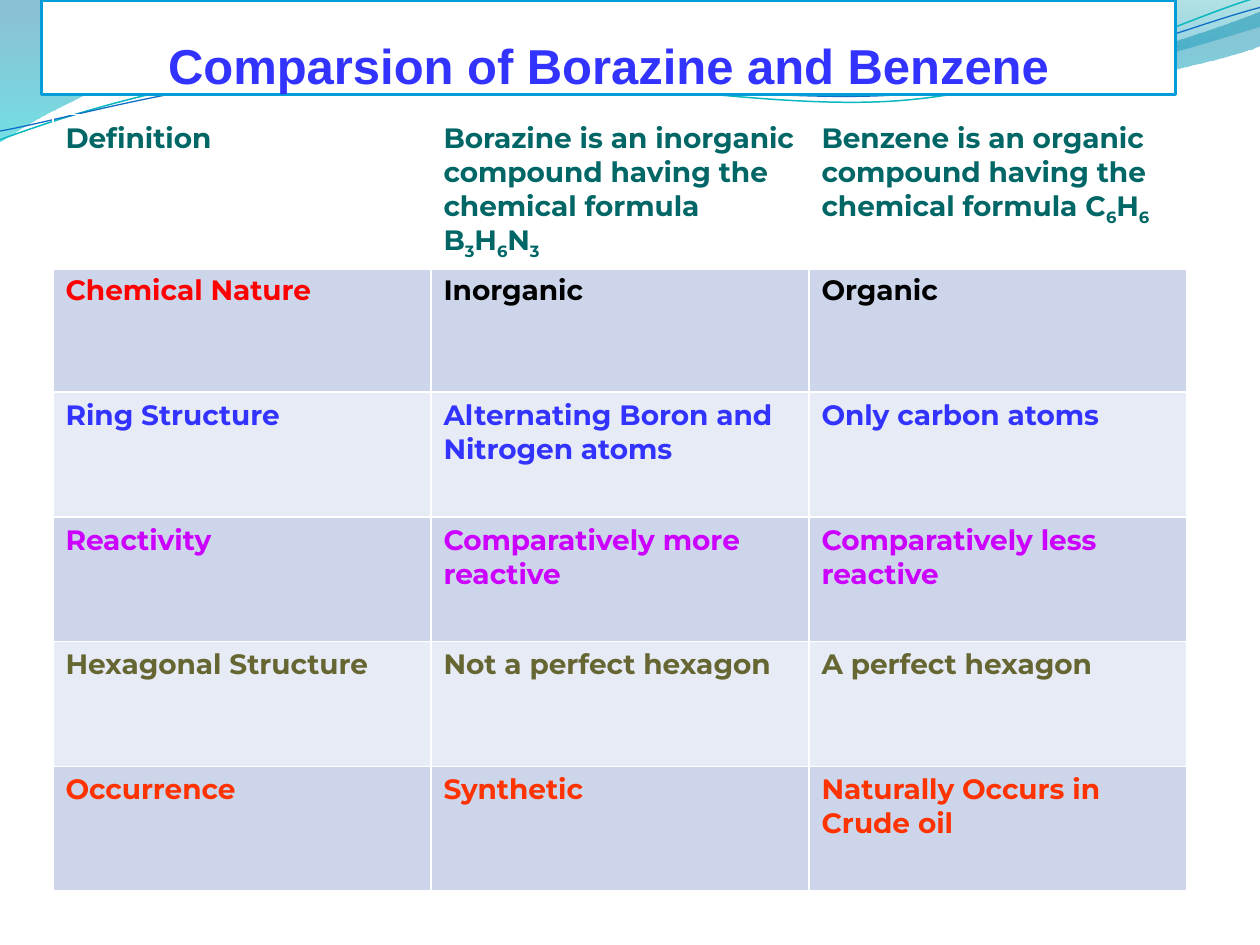
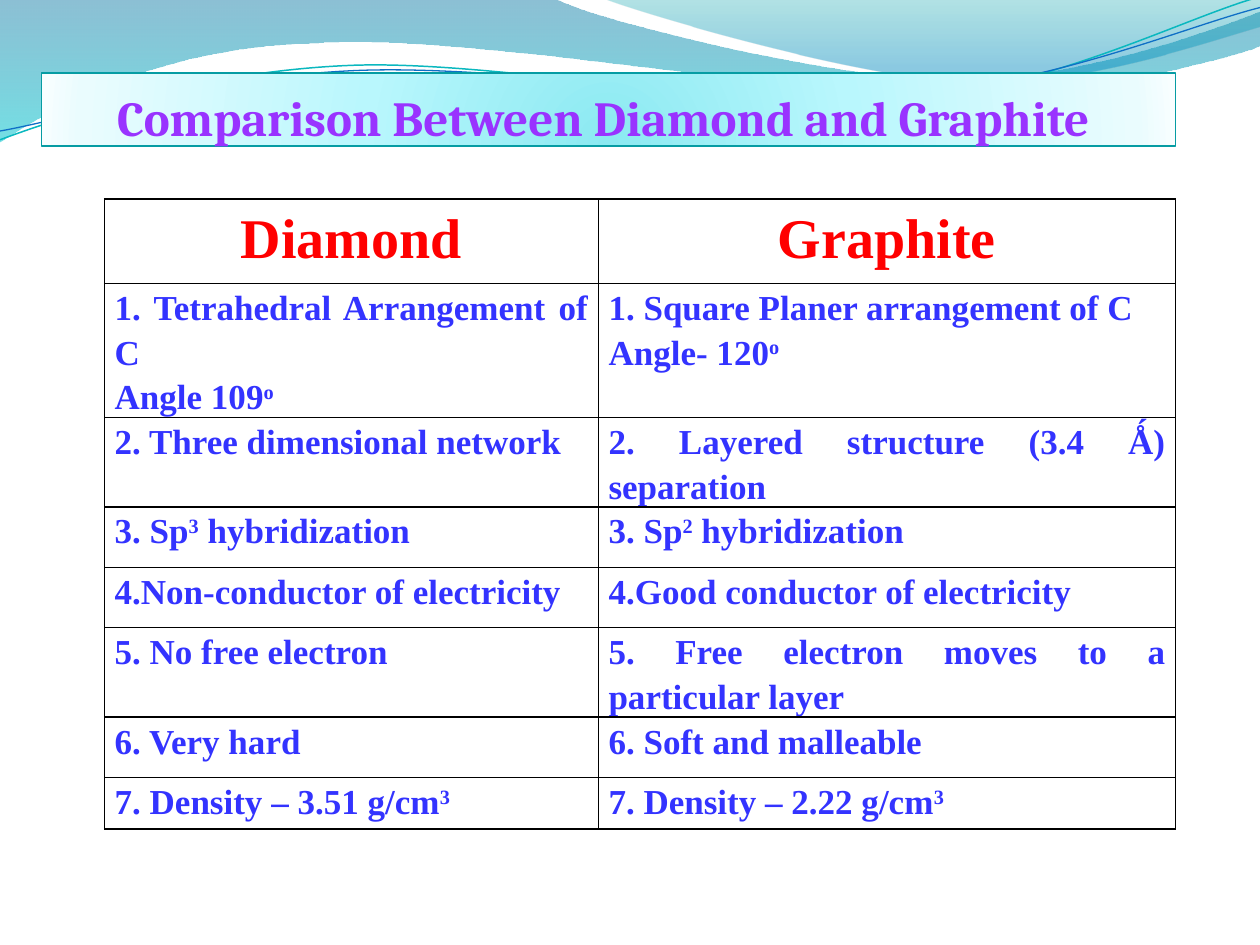
from dataclasses import dataclass
from lxml.etree import SubElement as Sub
from pptx import Presentation
from pptx.dml.color import RGBColor as RGB
from pptx.enum.shapes import MSO_SHAPE as SHAPE
from pptx.enum.text import MSO_ANCHOR as ANCHOR, PP_ALIGN as ALIGN
from pptx.oxml import parse_xml
from pptx.oxml.ns import nsdecls, qn
from pptx.util import Inches, Pt


@dataclass(frozen=True)
class Theme:
    white: str = "FFFFFF"
    black: str = "000000"
    blue: str = "3333FF"
    red: str = "FF0000"
    violet: str = "9933FF"
    frame: str = "009DD9"
    teal: str = "069CA3"
    bands: tuple = ("E7EBF5", "CCD5EA")
    title: int = 28
    head: int = 32
    body: int = 20
    small: int = 16
    sans: str = "Montserrat"
    serif: str = "Times New Roman"


T = Theme()

# Content: label colour, text colour, texts; bars enclose lowered or raised text
RINGS = [
    ("006666", "006666", "Definition",
     "Borazine is an inorganic compound having the chemical formula B|3|H|6|N|3|",
     "Benzene is an organic compound having the chemical formula C|6|H|6|"),
    (T.red, T.black, "Chemical Nature", "Inorganic", "Organic"),
    (T.blue, T.blue, "Ring Structure", "Alternating Boron and Nitrogen atoms",
     "Only carbon atoms"),
    ("CC00FF", "CC00FF", "Reactivity", "Comparatively more reactive",
     "Comparatively less reactive"),
    ("666633", "666633", "Hexagonal Structure", "Not a perfect hexagon",
     "A perfect hexagon"),
    ("FF3300", "FF3300", "Occurrence", "Synthetic",
     "Naturally Occurs in Crude oil"),
]
CARBON = [
    ("Diamond", "Graphite", 0.67),
    ("1. Tetrahedral Arrangement of C\nAngle 109|o|",
     "1. Square Planer arrangement of C\nAngle- 120|o|", 0.96),
    ("2. Three dimensional network",
     "2. Layered structure (3.4 Ǻ) separation", 0.63),
    ("3. Sp|3| hybridization", "3. Sp|2| hybridization", 0.48),
    ("4.Non-conductor of electricity", "4.Good conductor of electricity", 0.48),
    ("5. No free electron", "5. Free electron moves to a particular layer", 0.63),
    ("6. Very hard", "6. Soft and malleable", 0.48),
    ("7. Density – 3.51 g/cm|3|", "7. Density – 2.22 g/cm|3|", 0.41),
]

# Waves: two numbers are a line, six are a curve
FILLS = [
    ([(0, 0), (4.4, -0.01), (4.76, 0.17, 6.64, 0.63, 7.58, 0.63),
      (8.53, 0.63, 9.58, 0.26, 10, 0.09), (10.01, 0.36),
      (9.83, 0.44, 8.7, 0.76, 7.46, 0.75), (6.22, 0.75, 3.82, 0.28, 2.57, 0.34),
      (1.29, 0.36, 0.46, 0.83, -0.01, 1.13), (0, 0)],
     [(0, "0074A1", 45), (100, "00C6CF", 55)]),
    ([(4.79, -0.01), (5.09, 0.11, 6.82, 0.62, 7.69, 0.65),
      (8.56, 0.69, 9.61, 0.32, 10, 0.21), (10, 0), (4.79, -0.01)],
     [(0, "00A1A9", 30), (80, "008BBF", 45)]),
]
LINES = [
    ([(0, 1.11), (0.48, 0.93, 1.58, 0.57, 2.77, 0.52),
      (3.95, 0.47, 5.93, 0.89, 7.13, 0.8),
      (8.33, 0.71, 9.38, 0.15, 9.98, -0.02)], "0AB8BF", 0.85),
    ([(0, 1.04), (0.47, 0.96, 1.64, 0.61, 2.83, 0.56),
      (4.03, 0.51, 5.97, 0.84, 7.17, 0.75),
      (8.36, 0.67, 9.41, 0.21, 10, 0.06)], "0F6FC6", 0.75),
]
GLOW = [(0, "8BE9F1", 100), (43, "B9F7FD", 100), (93, "EAFCFE", 100),
        (100, "F8FEFF", 100)]
ROUND = ('<a:path path="circle"><a:fillToRect l="50000" t="130000" '
         'r="50000" b="-30000"/></a:path>')
DOWN = '<a:lin ang="5400000" scaled="0"/>'


def blend(shape, stops, way=DOWN):
    """Fill a shape with a gradient of (place, colour, alpha) stops."""
    marks = "".join(
        f'<a:gs pos="{at * 1000}"><a:srgbClr val="{tint}">'
        f'<a:alpha val="{alpha * 1000}"/></a:srgbClr></a:gs>'
        for at, tint, alpha in stops)
    fill = parse_xml(f'<a:gradFill {nsdecls("a")} rotWithShape="1">'
                     f'<a:gsLst>{marks}</a:gsLst>{way}</a:gradFill>')
    shape.fill.background()
    blank = shape._element.spPr.find(qn("a:noFill"))
    blank.getparent().replace(blank, fill)


def wave(slide, parts, close):
    """Join the end points, then bend the six-number parts."""
    ends = [(Inches(p[-2]), Inches(p[-1])) for p in parts]
    pen = slide.shapes.build_freeform(*ends[0], scale=1.0)
    pen.add_line_segments(ends[1:], close=close)
    shape = pen.convert_to_shape()
    shape.shadow.inherit = False
    steps = list(shape._element.iter(qn("a:lnTo")))
    for step, part in zip(steps, parts[1:]):
        if len(part) == 6:
            step.tag = qn("a:cubicBezTo")
            for i in (0, 2):
                spot = step.makeelement(qn("a:pt"), {
                    "x": str(Inches(part[i]) - shape.left),
                    "y": str(Inches(part[i + 1]) - shape.top)})
                step.insert(i // 2, spot)
    return shape


def waves(slide):
    for parts, stops in FILLS:
        shape = wave(slide, parts, True)
        blend(shape, stops)
        shape.line.fill.background()
    for parts, tint, width in LINES:
        shape = wave(slide, parts, False)
        shape.fill.background()
        outline(shape, tint, width)


def outline(shape, tint, width):
    shape.line.color.rgb = RGB.from_string(tint)
    shape.line.width = Pt(width)


def style(run, font, size, tint):
    run.font.name, run.font.size, run.font.bold = font, Pt(size), True
    run.font.color.rgb = RGB.from_string(tint)


def banner(slide, text, top, high, font, tint):
    """Add the title box shared by the slides."""
    box = slide.shapes.add_shape(SHAPE.RECTANGLE, Inches(0.33), Inches(top),
                                 Inches(9), Inches(high))
    box.shadow.inherit = False
    frame = box.text_frame
    frame.word_wrap = True
    frame.vertical_anchor = ANCHOR.BOTTOM
    frame.margin_left = frame.margin_right = frame.margin_bottom = 0
    frame.margin_top = Inches(0.05)
    frame.text = text
    frame.paragraphs[0].alignment = ALIGN.CENTER
    style(frame.paragraphs[0].runs[0], font, T.title, tint)
    return box


def grid(slide, left, top, cols, rows):
    table = slide.shapes.add_table(
        len(rows), len(cols), Inches(left), Inches(top),
        Inches(sum(cols)), Inches(sum(rows))).table
    table.first_row = table.horz_banding = False
    for col, wide in zip(table.columns, cols):
        col.width = Inches(wide)
    for row, high in zip(table.rows, rows):
        row.height = Inches(high)
    return table


def edges(cell, tint, **widths):
    """Rule the four sides, one point unless a side is named."""
    props = cell._tc.get_or_add_tcPr()
    for place, side in enumerate("LRTB"):
        rule = props.makeelement(qn(f"a:ln{side}"),
                                 {"w": str(Pt(widths.get(side, 1)))})
        Sub(Sub(rule, qn("a:solidFill")), qn("a:srgbClr"), val=tint)
        props.insert(place, rule)


def write(cell, text, shift, font, size, tint, align=ALIGN.LEFT, space=None):
    frame = cell.text_frame
    for n, line in enumerate(text.split("\n")):
        para = frame.add_paragraph() if n else frame.paragraphs[0]
        para.alignment, para.line_spacing = align, space
        for i, piece in enumerate(line.split("|")):
            if not piece:
                continue
            run = para.add_run()
            run.text = piece
            style(run, font, size, tint)
            if i % 2:
                run._r.get_or_add_rPr().set("baseline", str(shift * 1000))


def rings(slide):
    box = banner(slide, "Comparsion of Borazine and Benzene", 0, 0.75,
                 "Arial", T.blue)
    box.fill.solid()
    box.fill.fore_color.rgb = RGB.from_string(T.white)
    outline(box, T.frame, 2)
    table = grid(slide, 0.42, 0.91, [3] * 3, [1] + [0.99] * 5)
    for r, (label, tint, *texts) in enumerate(RINGS):
        for c, text in enumerate(texts):
            cell = table.cell(r, c)
            write(cell, text, -25, T.sans, T.small, tint if c else label)
            if r:
                cell.fill.solid()
                cell.fill.fore_color.rgb = RGB.from_string(T.bands[r % 2])
            else:
                cell.fill.background()
            edges(cell, T.white, T=3 if r == 1 else 1, B=1 if r else 3)


def carbon(slide):
    box = banner(slide, "Comparison Between Diamond and Graphite ", 0.58, 0.58,
                 "Cambria", T.violet)
    blend(box, GLOW, ROUND)
    outline(box, T.teal, 0.75)
    table = grid(slide, 0.83, 1.58, [3.92, 4.58], [row[-1] for row in CARBON])
    for r, row in enumerate(CARBON):
        look = ((T.body, T.blue, ALIGN.JUSTIFY) if r
                else (T.head, T.red, ALIGN.CENTER))
        for c, text in enumerate(row[:2]):
            cell = table.cell(r, c)
            cell.margin_left = cell.margin_right = Inches(0.08)
            cell.margin_top = cell.margin_bottom = 0
            write(cell, text, 30, T.serif, *look, space=1.15)
            cell.fill.background()
            edges(cell, T.black)


def main():
    deck = Presentation()
    deck.slide_width, deck.slide_height = Inches(10), Inches(7.5)
    for build in (rings, carbon):
        slide = deck.slides.add_slide(deck.slide_layouts[6])
        waves(slide)
        build(slide)
    deck.save("out.pptx")


if __name__ == "__main__":
    main()
